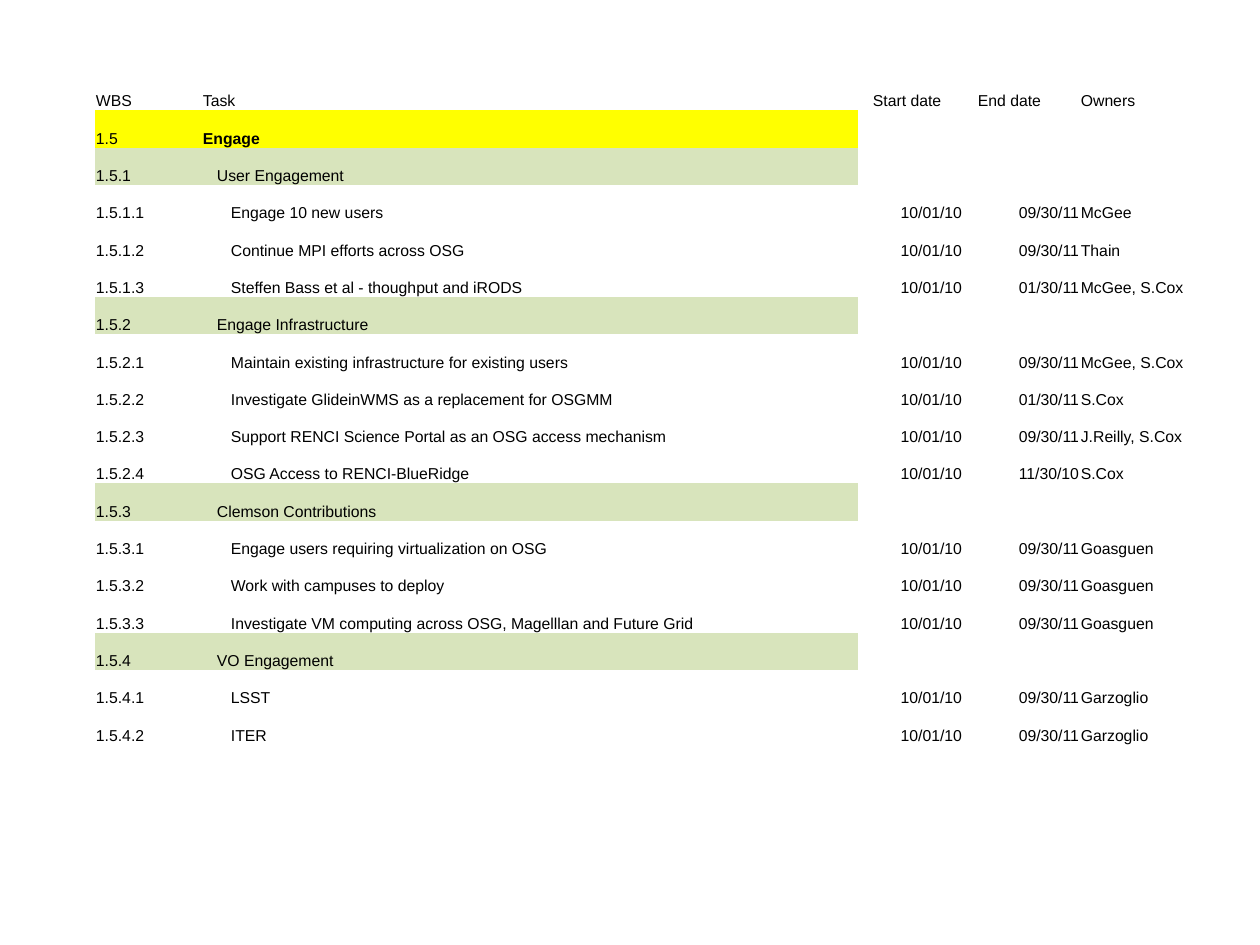
import pptx
import pptx.util
from pptx.dml.color import RGBColor
from pptx.enum.text import MSO_ANCHOR, PP_ALIGN
from pptx.oxml.ns import qn

COLORS = {"text": "000000", "project": "FFFF00", "group": "D8E4BC"}
NO_STYLE_NO_GRID = "{2D5ABB26-0587-4C30-8999-92F81FD0307C}"
EMU_PER_PX = 914400 / 126

HEADERS = ["WBS", "Task", "Start date", "End date", "Owners"]
COLUMN_WIDTHS = [107, 656, 105, 117, 139]
START = "10/01/10"
TASKS = [
    ("1.5", "Engage"),
    ("1.5.1", "User Engagement"),
    ("1.5.1.1", "Engage 10 new users", START, "09/30/11", "McGee"),
    ("1.5.1.2", "Continue MPI efforts across OSG", START, "09/30/11", "Thain"),
    ("1.5.1.3", "Steffen Bass et al - thoughput and iRODS", START, "01/30/11", "McGee, S.Cox"),
    ("1.5.2", "Engage Infrastructure"),
    ("1.5.2.1", "Maintain existing infrastructure for existing users", START, "09/30/11", "McGee, S.Cox"),
    ("1.5.2.2", "Investigate GlideinWMS as a replacement for OSGMM", START, "01/30/11", "S.Cox"),
    ("1.5.2.3", "Support RENCI Science Portal as an OSG access mechanism", START, "09/30/11", "J.Reilly, S.Cox"),
    ("1.5.2.4", "OSG Access to RENCI-BlueRidge", START, "11/30/10", "S.Cox"),
    ("1.5.3", "Clemson Contributions"),
    ("1.5.3.1", "Engage users requiring virtualization on OSG", START, "09/30/11", "Goasguen"),
    ("1.5.3.2", "Work with campuses to deploy", START, "09/30/11", "Goasguen"),
    ("1.5.3.3", "Investigate VM computing across OSG, Magelllan and Future Grid", START, "09/30/11", "Goasguen"),
    ("1.5.4", "VO Engagement"),
    ("1.5.4.1", "LSST", START, "09/30/11", "Garzoglio"),
    ("1.5.4.2", "ITER", START, "09/30/11", "Garzoglio"),
]
# Number of dots in the WBS code -> (task indent in px, fill colour)
LEVELS = {1: (1, "project"), 2: (15, "group"), 3: (29, None)}


def px(n):
    return pptx.util.Emu(round(n * EMU_PER_PX))


class SlideBuilder:
    font = "Arial"
    size = 9

    def __init__(self, s):
        self.s = s

    def table(self, left, top, height, widths, row_count):
        """Add an unstyled table with equal row heights."""
        sp = self.s.shapes.add_table(row_count, len(widths), px(left), px(top),
                                     px(sum(widths)), px(height))
        table = sp.table
        table.first_row = table.horz_banding = False
        table._tbl.tblPr.find(qn("a:tableStyleId")).text = NO_STYLE_NO_GRID
        for column, width in zip(table.columns, widths):
            column.width = px(width)
        for row in table.rows:
            row.height = px(height / row_count)
        return table

    def cell(self, cell, text="", indent=1, fill=None, bold=False, align=None):
        cell.margin_left = px(indent)
        cell.margin_top = cell.margin_right = px(1)
        cell.margin_bottom = 0
        cell.vertical_anchor = MSO_ANCHOR.BOTTOM
        if fill:
            cell.fill.solid()
            cell.fill.fore_color.rgb = RGBColor.from_string(COLORS[fill])
        else:
            cell.fill.background()
        p = cell.text_frame.paragraphs[0]
        p.alignment = align
        p.font.name = self.font
        p.font.size = pptx.util.Pt(self.size)
        p.font.bold = bold
        p.font.color.rgb = RGBColor.from_string(COLORS["text"])
        if text:
            p.add_run().text = text
        else:
            # An empty cell takes its line height from the end mark
            p._p.get_or_add_endParaRPr().set("sz", str(self.size * 100))


def main():
    prs = pptx.Presentation()
    prs.slide_width, prs.slide_height = px(1260), px(945)
    builder = SlideBuilder(prs.slides.add_slide(prs.slide_layouts[6]))
    table = builder.table(95, 73, 672, COLUMN_WIDTHS, len(TASKS) + 1)

    for col, header in enumerate(HEADERS):
        builder.cell(table.cell(0, col), header, indent=15 if "date" in header else 1)

    for row, task in enumerate(TASKS, start=1):
        indent, fill = LEVELS[task[0].count(".")]
        wbs, name, start, end, owners = task + ("",) * (len(HEADERS) - len(task))
        builder.cell(table.cell(row, 0), wbs, fill=fill)
        builder.cell(table.cell(row, 1), name, indent, fill, bold=fill == "project")
        builder.cell(table.cell(row, 2), start, align=PP_ALIGN.RIGHT)
        builder.cell(table.cell(row, 3), end, align=PP_ALIGN.RIGHT)
        builder.cell(table.cell(row, 4), owners)

    prs.save("out.pptx")


if __name__ == "__main__":
    main()
